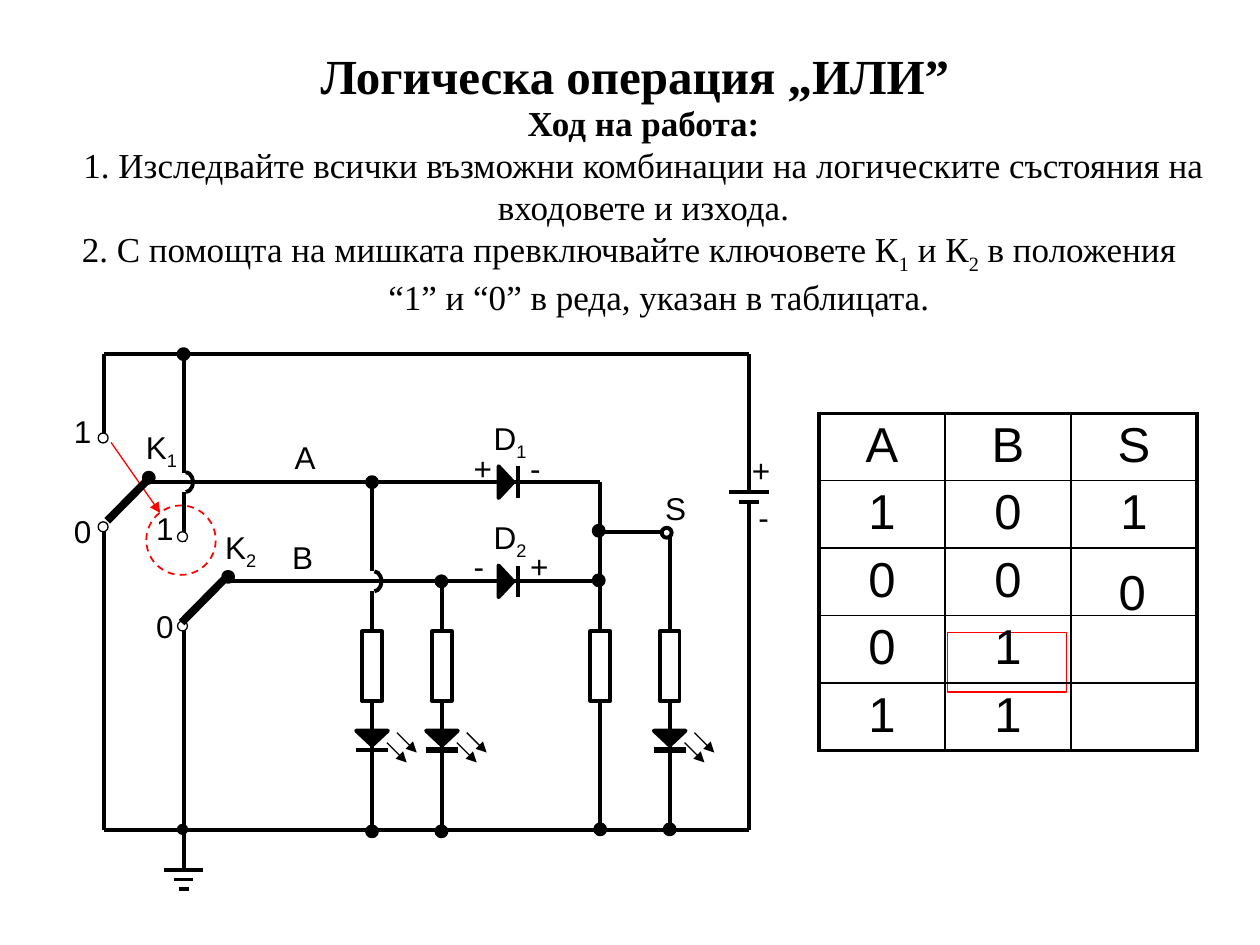
import pptx
import pptx.util
import pptx.dml.color
import pptx.enum.dml
import pptx.enum.shapes
import pptx.enum.text
import pptx.oxml
import pptx.oxml.ns
from pptx.util import Cm

COLORS = {"ink": "000000", "paper": "FFFFFF", "accent": "FF0000"}
SHAPES = pptx.enum.shapes.MSO_SHAPE
ALIGN = pptx.enum.text.PP_ALIGN
LEFT, RIGHT, TOP, BOTTOM = 2.1, 15.1, 7.14, 16.74
LINE_A, LINE_B, GROUND_X, OUT_X = 9.72, 11.72, 3.7, 13.5
RESISTOR_TOP, RESISTOR_HEIGHT = 12.73, 1.4
LABEL_WIDTHS = {"+": 0.89, "-": 0.71, "0": 0.86, "1": 0.86, "A": 0.94,
                "B": 0.94, "S": 0.94, "D": 1.19, "K": 1.17}
TRUTH_ROWS = ["ABS", "101", "00 ", "01 ", "11 "]


def color(name):
    return pptx.dml.color.RGBColor.from_string(COLORS[name])


def set_line(line, name, width):
    line.color.rgb = color(name)
    line.width = pptx.util.Pt(width)


def add_wire(slide, start, end, width=2.25, name="ink", arrow=False):
    wire = slide.shapes.add_connector(
        pptx.enum.shapes.MSO_CONNECTOR.STRAIGHT, *map(Cm, start + end))
    set_line(wire.line, name, width)
    properties = wire._element.spPr
    if arrow:
        tail = pptx.oxml.parse_xml(
            f'<a:tailEnd {pptx.oxml.ns.nsdecls("a")} type="triangle"/>')
        wire.line._get_or_add_ln().append(tail)
    properties.append(pptx.oxml.parse_xml(
        f'<a:effectLst {pptx.oxml.ns.nsdecls("a")}/>'))
    return wire


def add_shape(slide, kind, center, size, fill=None, width=2.25, name="ink", turn=0):
    """Place a preset shape by its centre."""
    (x, y), (wide, high) = center, size
    shape = slide.shapes.add_shape(
        kind, Cm(x - wide / 2), Cm(y - high / 2), Cm(wide), Cm(high))
    shape.shadow.inherit = False
    shape.rotation = turn
    if fill:
        shape.fill.solid()
        shape.fill.fore_color.rgb = color(fill)
    else:
        shape.fill.background()
    set_line(shape.line, name, width)
    return shape


def add_dot(slide, center, fill="ink", width=2.25):
    add_shape(slide, SHAPES.OVAL, center, (0.2, 0.2), fill, width)


def write(para, text, size, font="Arial", bold=False):
    """Fill a paragraph; parts between underscores become subscripts."""
    values = {"size": pptx.util.Pt(size), "name": font, "bold": bold}
    for number, part in enumerate(text.split("_")):
        if not part:
            continue
        span = para.add_run()
        span.text = part
        for key, value in values.items():
            setattr(span.font, key, value)
        span.font.color.rgb = color("ink")
        if number % 2:
            span._r.get_or_add_rPr().set("baseline", "-25000")


def add_label(slide, text, left, top, size=18, width=None):
    wide = width or LABEL_WIDTHS[text[0]]
    box = slide.shapes.add_textbox(
        Cm(left), Cm(top), Cm(wide), Cm(size * 0.0405 + 0.28))
    box.text_frame.word_wrap = False
    write(box.text_frame.paragraphs[0], text, size)


def add_text(slide, place, lines, size):
    """Add a wrapped serif box; lines hold text, alignment, indent and bold."""
    box = slide.shapes.add_textbox(*map(Cm, place))
    frame = box.text_frame
    frame.word_wrap = True
    for number, (text, align, indent, bold) in enumerate(lines):
        para = frame.add_paragraph() if number else frame.paragraphs[0]
        para.alignment = align
        if indent:
            para._p.get_or_add_pPr().set("marL", str(Cm(indent)))
        write(para, text, size, "Times New Roman", bold)
    return frame


def add_resistor(slide, x, wire_top):
    """Add a resistor with its wires up to wire_top and down to the bottom rail."""
    middle = RESISTOR_TOP + RESISTOR_HEIGHT / 2
    body = add_shape(slide, SHAPES.RECTANGLE, (x, middle), (0.4, RESISTOR_HEIGHT), "paper")
    for side, start, end in ((0, RESISTOR_TOP, wire_top),
                             (2, RESISTOR_TOP + RESISTOR_HEIGHT, BOTTOM)):
        wire = add_wire(slide, (x, start), (x, end))
        wire.begin_connect(body, side)


def add_led(slide, x, bar_width=3):
    add_shape(slide, SHAPES.ISOSCELES_TRIANGLE, (x, 14.88), (0.64, 0.3), "ink", turn=180)
    add_wire(slide, (x - 0.32, 15.12), (x + 0.32, 15.12), bar_width)
    for left, top in ((x + 0.5, 14.77), (x + 0.3, 14.97)):
        add_wire(slide, (left, top), (left + 0.4, top + 0.4), 0.75, arrow=True)


def add_diode(slide, y):
    add_shape(slide, SHAPES.ISOSCELES_TRIANGLE, (10.2, y), (0.64, 0.3), "ink", turn=90)
    add_wire(slide, (10.44, y + 0.32), (10.44, y - 0.32))


def add_jump(slide, x, y):
    """Add the half circle where one wire passes over another."""
    arc = add_shape(slide, SHAPES.ARC, (x + 0.05, y), (0.28, 0.4))
    arc.adjustments[0], arc.adjustments[1] = 162, 54


def set_borders(cell, widths):
    properties = cell._tc.get_or_add_tcPr()
    for number, (side, width) in enumerate(widths.items()):
        properties.insert(number, pptx.oxml.parse_xml(
            f'<a:ln{side} {pptx.oxml.ns.nsdecls("a")} w="{pptx.util.Pt(width)}">'
            f'<a:solidFill><a:srgbClr val="{COLORS["ink"]}"/></a:solidFill></a:ln{side}>'))


def add_truth_table(slide):
    rows, columns = len(TRUTH_ROWS), len(TRUTH_ROWS[0])
    table = slide.shapes.add_table(
        rows, columns, Cm(16.51), Cm(8.33), Cm(7.62), Cm(1.36 * rows)).table
    table.first_row = table.horz_banding = False
    for r, values in enumerate(TRUTH_ROWS):
        for c, value in enumerate(values):
            cell = table.cell(r, c)
            cell.fill.background()
            cell.margin_top = cell.margin_bottom = Cm(0.1)
            edges = {"L": c == 0, "R": c == columns - 1, "T": r == 0, "B": r == rows - 1}
            set_borders(cell, {side: 2.25 if outer else 1 for side, outer in edges.items()})
            para = cell.text_frame.paragraphs[0]
            para.alignment = ALIGN.CENTER
            write(para, value.strip(), 28)


def add_circuit(slide):
    wires = [
        ((LEFT, BOTTOM), (RIGHT, BOTTOM)), ((LEFT, BOTTOM), (LEFT, 10.52)),
        ((LEFT, 8.92), (LEFT, TOP)), ((LEFT, TOP), (RIGHT, TOP)),
        ((2.9, LINE_A), (12.1, LINE_A)), ((4.5, LINE_B), (12.1, LINE_B)),
        ((GROUND_X, TOP), (GROUND_X, 9.53)), ((GROUND_X, 9.92), (GROUND_X, 10.92)),
        ((GROUND_X, 12.52), (GROUND_X, 17.53)), ((7.5, LINE_A), (7.5, 11.52)),
        ((12.1, 10.72), (OUT_X, 10.72)),
        ((RIGHT, TOP), (RIGHT, 9.92)), ((RIGHT, 10.12), (RIGHT, BOTTOM)),
        ((RIGHT - 0.4, 9.92), (RIGHT + 0.4, 9.92)),
        ((RIGHT - 0.2, 10.12), (RIGHT + 0.2, 10.12)),
    ]
    for step, half in enumerate((0.4, 0.2, 0.1)):
        y = 17.53 + 0.2 * step
        wires.append(((GROUND_X - half, y), (GROUND_X + half, y)))
    for start, end in wires:
        add_wire(slide, start, end)
    for x, y in ((GROUND_X, LINE_A), (7.5, LINE_B)):
        add_jump(slide, x, y)
    for x, wire_top in ((7.5, 11.92), (8.91, LINE_B), (12.1, LINE_A), (OUT_X, 10.72)):
        add_resistor(slide, x, wire_top)
    for x, bar_width in ((7.5, 2.25), (8.91, 3), (OUT_X, 3)):
        add_led(slide, x, bar_width)
    for y in (LINE_A, LINE_B):
        add_diode(slide, y)
    for center in ((GROUND_X, TOP), (7.5, LINE_A), (8.9, 11.72), (7.5, 16.76),
                   (8.9, 16.76), (OUT_X, 16.72), (12.1, 16.72), (12.07, 10.7),
                   (12.07, 11.7), (3, 9.63), (4.6, 11.63)):
        add_dot(slide, center)
    add_dot(slide, (3.68, 16.72), width=0.75)
    add_dot(slide, (13.44, 10.74), "paper")
    for center in ((2.08, 8.83), (2.08, 10.62), (3.68, 10.82), (3.68, 12.62)):
        add_dot(slide, center, "paper", 0.75)
    for x, y in ((3.02, 9.63), (4.52, 11.68)):
        add_wire(slide, (x, y), (x - 0.86, y + 0.87), 4.5)
    for text, left, top in (
            ("+", 9.3, 8.92), ("-", 10.44, 8.92), ("-", 9.3, 10.9), ("+", 10.44, 10.9),
            ("D_1", 9.7, 8.33), ("D_2", 9.7, 10.32), ("S", 13.16, 9.73),
            ("+", 14.91, 8.97), ("-", 15.04, 9.91), ("A", 5.69, 8.71), ("B", 5.64, 10.72),
            ("1", 2.9, 10.13), ("0", 2.9, 12.12), ("K_1", 2.69, 8.51),
            ("K_2", 4.29, 10.52), ("1", 1.24, 8.18), ("0", 1.24, 10.19)):
        add_label(slide, text, left, top)


def main():
    deck = pptx.Presentation()
    deck.slide_width, deck.slide_height = Cm(25.4), Cm(19.05)
    slide = deck.slides.add_slide(deck.slide_layouts[6])
    ring = add_shape(slide, SHAPES.OVAL, (3.65, 10.89), (1.4, 1.4), width=1, name="accent")
    ring.line.dash_style = pptx.enum.dml.MSO_LINE.DASH
    add_wire(slide, (2.24, 8.92), (3.23, 10.34), 0.75, "accent", arrow=True)
    add_shape(slide, SHAPES.RECTANGLE, (20.3, 13.35), (2.4, 1.2), width=0.75, name="accent")
    add_truth_table(slide)
    add_circuit(slide)
    add_label(slide, "0", 22.3, 11.2, 28, 1.07)
    title = add_text(slide, (1.37, 0.61, 22.86, 1.8),
                     [("Логическа операция „ИЛИ”", ALIGN.CENTER, 0, True)], 28)
    title.vertical_anchor = pptx.enum.text.MSO_ANCHOR.MIDDLE
    add_text(slide, (1.24, 1.93, 23.47, 4.7), [
        ("Ход на работа:", ALIGN.CENTER, 0, True),
        ("1. Изследвайте всички възможни комбинации на логическите състояния на "
         "входовете и изхода.", ALIGN.CENTER, 0, False),
        ("2. С помощта на мишката превключвайте ключовете К_1_ и К_2_ в положения",
         ALIGN.LEFT, 0.16, False),
        ("“1” и “0” в реда, указан в таблицата.", ALIGN.LEFT, 6.34, False)], 20)
    deck.save("out.pptx")


if __name__ == "__main__":
    main()
